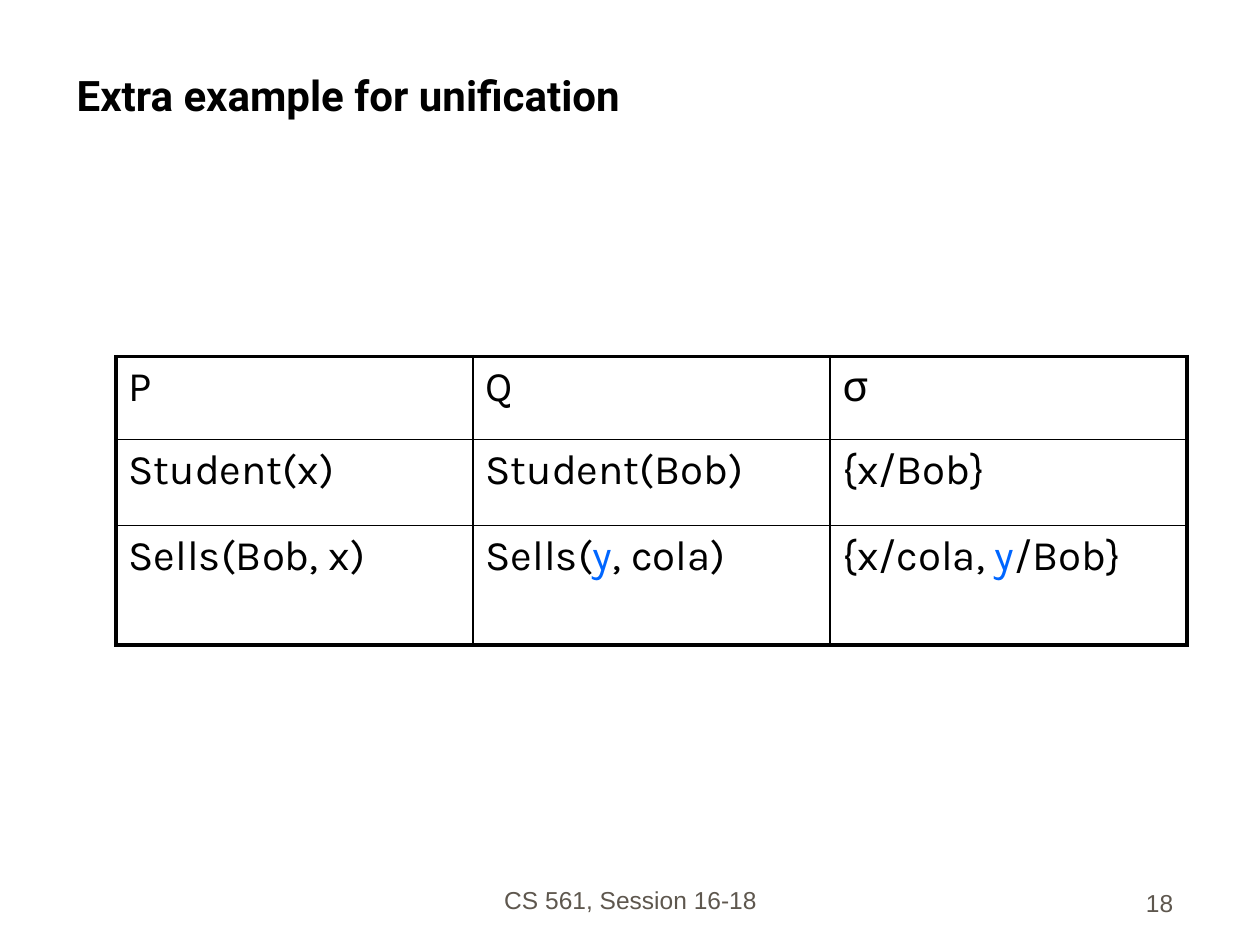
from lxml import etree
from pptx import Presentation
from pptx.dml.color import RGBColor
from pptx.enum.text import MSO_ANCHOR, PP_ALIGN
from pptx.oxml.ns import qn
from pptx.util import Inches, Pt

BLACK = RGBColor(0x00, 0x00, 0x00)
BLUE = RGBColor(0x00, 0x66, 0xFF)
GRAY = RGBColor(0x5E, 0x57, 0x4E)
LEFT, CENTER, RIGHT = PP_ALIGN.LEFT, PP_ALIGN.CENTER, PP_ALIGN.RIGHT
BOTTOM = MSO_ANCHOR.BOTTOM
THICK, THIN = Pt(2.25), Pt(1)

ROWS = [
    ["P", "Q", "σ"],
    ["Student(x)", "Student(Bob)", "{x/Bob}"],
    ["Sells(Bob, x)", "Sells(|y|, cola)", "{x/cola, |y|/Bob}"],
]
HEIGHTS = [0.66, 0.68, 0.95]


def write(frame, text, size=24, font="Karla", color=BLACK, bold=False, align=LEFT):
    """Fill a text frame; every second part between bars is blue."""
    para = frame.paragraphs[0]
    para.alignment = align
    for i, part in enumerate(text.split("|")):
        run = para.add_run()
        run.text = part
        run.font.size = Pt(size)
        run.font.name = font
        run.font.bold = bold
        run.font.color.rgb = BLUE if i % 2 else color


def add_label(slide, box, text, **form):
    """Place bottom-anchored text in the given box."""
    frame = slide.shapes.add_textbox(*map(Inches, box)).text_frame
    frame.word_wrap = True
    frame.vertical_anchor = BOTTOM
    write(frame, text, **form)


def add_edge(cell, side, width):
    """Draw one border of a cell."""
    props = cell._tc.get_or_add_tcPr()
    line = etree.SubElement(props, qn(f"a:ln{side}"), w=str(width))
    fill = etree.SubElement(line, qn("a:solidFill"))
    etree.SubElement(fill, qn("a:srgbClr"), val=str(BLACK))


def add_grid(slide, box):
    """Place the unification table with a thick outer frame."""
    count, last = len(ROWS[0]), len(ROWS) - 1
    table = slide.shapes.add_table(len(ROWS), count, *map(Inches, box)).table
    table.first_row = table.horz_banding = False
    for col in table.columns:
        col.width = Inches(box[2] / count)
    for r, texts in enumerate(ROWS):
        table.rows[r].height = Inches(HEIGHTS[r])
        for c, text in enumerate(texts):
            cell = table.cell(r, c)
            write(cell.text_frame, text)
            outer = {"L": c == 0, "R": c == count - 1, "T": r == 0, "B": r == last}
            for side, edge in outer.items():
                add_edge(cell, side, THICK if edge else THIN)
            cell.fill.background()


def main():
    """Build and save the slide."""
    deck = Presentation()
    deck.slide_width, deck.slide_height = Inches(10), Inches(7.5)
    slide = deck.slides.add_slide(deck.slide_layouts[6])
    foot = {"size": 14, "font": "Arial", "color": GRAY}
    add_label(slide, (3.42, 6.81, 3.17, 0.5), "CS 561, Session 16-18", align=CENTER, **foot)
    add_label(slide, (7.33, 6.83, 2.08, 0.5), "18", align=RIGHT, **foot)
    add_label(slide, (0.51, 0.25, 8.92, 0.75), "Extra example for unification",
              font="Roboto", bold=True)
    add_grid(slide, (0.92, 2.83, 8.5, sum(HEIGHTS)))
    deck.save("out.pptx")


if __name__ == "__main__":
    main()
